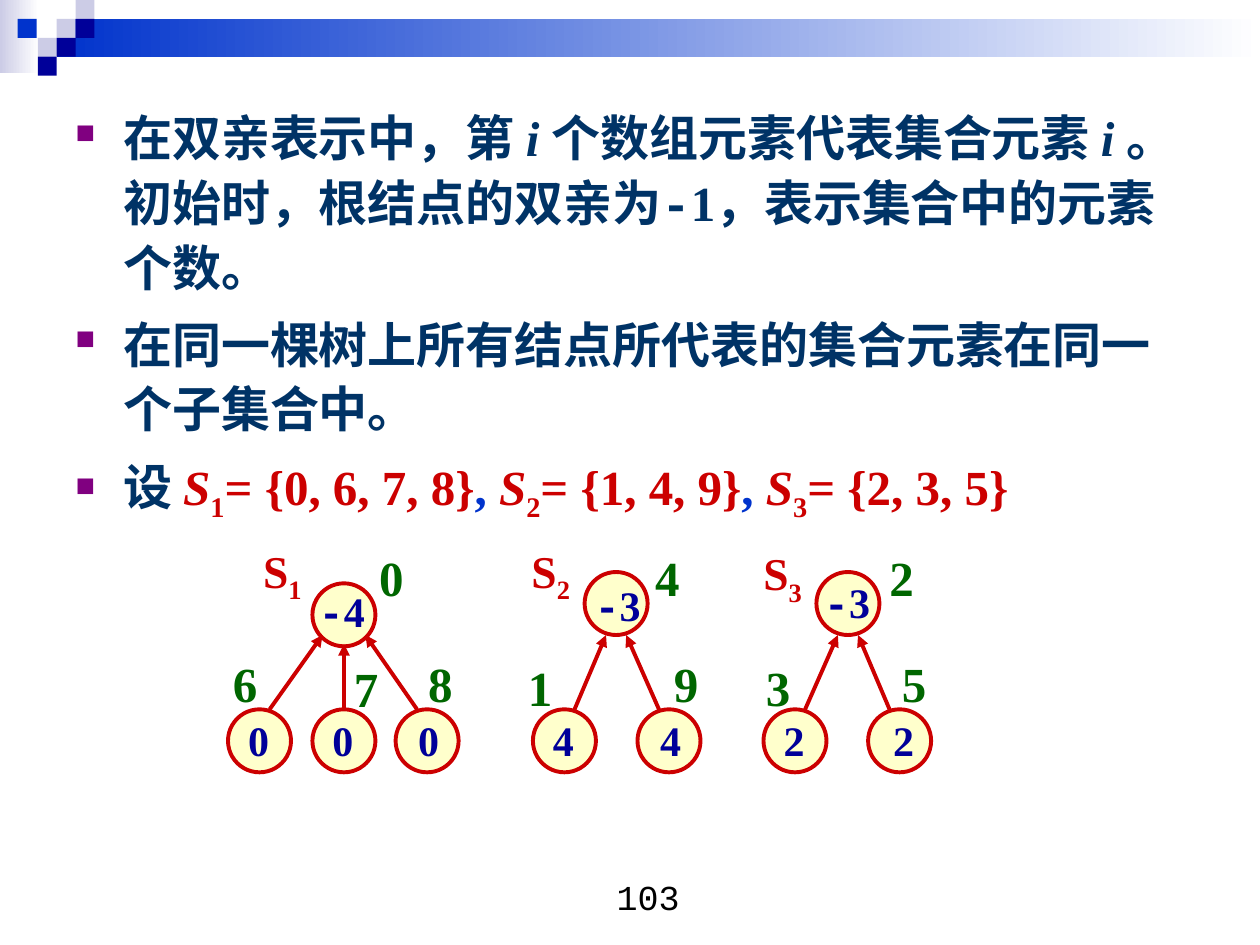
import pptx
import pptx.util
import pptx.dml.color
import pptx.enum.shapes
import pptx.enum.text
import pptx.oxml.ns
import lxml.etree

Inches = pptx.util.Inches
Pt = pptx.util.Pt
qn = pptx.oxml.ns.qn
SHAPES = pptx.enum.shapes.MSO_SHAPE

COLORS = {
    "pale": "CCCCE6", "blue": "0033CC", "navy": "000099", "white": "FFFFFF",
    "body": "003366", "bullet": "800080", "red": "CC0000", "green": "006600",
    "cream": "FFFFCC", "black": "000000",
}
SERIF = "Times New Roman"
MONO = "Courier New"

BANDS = [(0, 0, 0.31, 0.58, "pale"), (0.45, 0.15, 9.55, 0.3, "blue")]
TILE = 0.15
TILES = [
    (0.45, 0.15, "pale"), (0.6, 0, "pale"), (0.6, 0.15, "navy"),
    (0.3, 0.3, "pale"), (0.14, 0.15, "blue"), (0.45, 0.3, "navy"),
    (0.3, 0.45, "navy"),
]

SETS = [("1", "= {0, 6, 7, 8}"), ("2", "= {1, 4, 9}"), ("3", "= {2, 3, 5}")]
set_runs = [("设 ", {})]
for number, members in SETS:
    if number != "1":
        set_runs.append((", ", {"color": "blue"}))
    set_runs += [
        ("S", {"color": "red", "italic": True}),
        (number, {"color": "red", "sub": True}),
        (members, {"color": "red"}),
    ]
BODY = [
    [("在双亲表示中，第 ", {}), ("i ", {"italic": True}), ("个数组元素代表集合元素 ", {}),
     ("i ", {"italic": True}), ("。初始时，根结点的双亲为", {}), ("-", {"font": MONO}),
     ("1，表示集合中的元素个数。", {})],
    [("在同一棵树上所有结点所代表的集合元素在同一个子集合中。", {})],
    set_runs,
]

NODE = 0.5
LEAF_TOP = 5.63
VALUE_TOP = 5.62
TREES = [
    {"name": ("1", 1.99, 4.26), "root": (2.48, 4.63), "spread": 0.17,
     "value": ("4", 2.43, 4.6), "index": ("0", 2.91, 4.3),
     "leaves": [(1.81, -1, "0", 1.87, "6", 1.75, 5.14),
                (2.48, 0, "0", 2.54, "7", 2.71, 5.18),
                (3.14, 1, "0", 3.22, "8", 3.3, 5.14)]},
    {"name": ("2", 4.12, 4.26), "root": (4.64, 4.54), "spread": 0.08,
     "value": ("3", 4.62, 4.55), "index": ("4", 5.1, 4.3),
     "leaves": [(4.23, -1, "4", 4.29, "1", 4.09, 5.17),
                (5.06, 1, "4", 5.14, "9", 5.25, 5.14)]},
    {"name": ("3", 5.96, 4.28), "root": (6.48, 4.54), "spread": 0.08,
     "value": ("3", 6.44, 4.53), "index": ("2", 6.96, 4.3),
     "leaves": [(6.06, -1, "2", 6.12, "3", 5.98, 5.17),
                (6.89, 1, "2", 6.99, "5", 7.06, 5.14)]},
]


def rgb(name):
    return pptx.dml.color.RGBColor.from_string(COLORS[name])


def add_runs(para, runs, size, color, bold=True):
    for text, style in runs:
        span = para.add_run()
        span.text = text
        span.font.size = Pt(size)
        span.font.bold = bold
        span.font.italic = style.get("italic", False)
        span.font.name = style.get("font", SERIF)
        span.font.color.rgb = rgb(style.get("color", color))
        if style.get("sub"):
            span.font._element.set("baseline", "-25000")


def add_text(page, left, top, width, height, runs, size, color, bold=True):
    box = page.shapes.add_textbox(Inches(left), Inches(top), Inches(width), Inches(height))
    box.text_frame.word_wrap = True
    para = box.text_frame.paragraphs[0]
    add_runs(para, runs, size, color, bold)
    return box


def add_plain(page, kind, left, top, width, height):
    shape = page.shapes.add_shape(kind, Inches(left), Inches(top), Inches(width), Inches(height))
    shape.shadow.inherit = False
    shape.line.fill.background()
    return shape


def add_node(page, left, top):
    node = add_plain(page, SHAPES.OVAL, left, top, NODE, NODE)
    node.fill.solid()
    node.fill.fore_color.rgb = rgb("cream")
    node.line.color.rgb = rgb("red")
    node.line.width = Pt(2.25)


def add_arrow(page, start, end):
    arrow = page.shapes.add_connector(
        pptx.enum.shapes.MSO_CONNECTOR.STRAIGHT,
        Inches(start[0]), Inches(start[1]), Inches(end[0]), Inches(end[1]))
    arrow.line.color.rgb = rgb("red")
    arrow.line.width = Pt(2.25)
    line = arrow.line._get_or_add_ln()
    lxml.etree.SubElement(line, qn("a:tailEnd"), type="triangle")
    lxml.etree.SubElement(arrow._element.spPr, qn("a:effectLst"))


def add_header(page):
    for left, top, width, height, color in BANDS:
        band = add_plain(page, SHAPES.RECTANGLE, left, top, width, height)
        band.fill.gradient()
        band.fill.gradient_angle = 0
        for stop, position, name in zip(band.fill.gradient_stops, (0, 1), (color, "white")):
            stop.position = position
            stop.color.rgb = rgb(name)
    for left, top, color in TILES:
        tile = add_plain(page, SHAPES.RECTANGLE, left, top, TILE, TILE)
        tile.fill.solid()
        tile.fill.fore_color.rgb = rgb(color)


def add_body(page):
    box = page.shapes.add_textbox(Inches(0.5), Inches(0.76), Inches(9), Inches(3.51))
    frame = box.text_frame
    frame.word_wrap = True
    for number, runs in enumerate(BODY):
        para = frame.add_paragraph() if number else frame.paragraphs[0]
        para.line_spacing = 1.1
        if number:
            para.space_before = Pt(7)
        props = para._p.get_or_add_pPr()
        props.set("marL", str(Inches(0.38)))
        props.set("indent", str(Inches(-0.38)))
        tint = lxml.etree.SubElement(props, qn("a:buClr"))
        lxml.etree.SubElement(tint, qn("a:srgbClr"), val=COLORS["bullet"])
        lxml.etree.SubElement(props, qn("a:buSzPct"), val="55000")
        lxml.etree.SubElement(props, qn("a:buChar"), char="■")
        add_runs(para, runs, 28, "body")


def add_tree(page, tree):
    root_left, root_top = tree["root"]
    add_node(page, root_left, root_top)
    for left, side, value, value_left, index, index_left, index_top in tree["leaves"]:
        add_node(page, left, LEAF_TOP)
        start = (left + NODE / 2 - side * 0.08, LEAF_TOP)
        end = (root_left + NODE / 2 + side * tree["spread"], 5.04 if side else 5.11)
        add_arrow(page, start, end)
        add_text(page, index_left, index_top, 0.42, 0.57, [(index, {})], 28, "green")
        add_text(page, value_left, VALUE_TOP, 0.42, 0.5, [(value, {})], 24, "navy")
    index, left, top = tree["index"]
    add_text(page, left, top, 0.42, 0.57, [(index, {})], 28, "green")
    value, left, top = tree["value"]
    add_text(page, left, top, 0.61, 0.5, [("-", {"font": MONO}), (value, {})], 24, "navy")
    number, left, top = tree["name"]
    name = add_text(page, left, top, 0.54, 0.6, [("S", {}), (number, {"sub": True})], 26, "red")
    name.text_frame.margin_right = 0


def main():
    deck = pptx.Presentation()
    deck.slide_width = Inches(10)
    deck.slide_height = Inches(7.5)
    page = deck.slides.add_slide(deck.slide_layouts[6])
    add_header(page)
    add_body(page)
    for tree in TREES:
        add_tree(page, tree)
    number = add_text(page, 3.98, 6.9, 2.33, 0.52, [("103", {"font": MONO})], 20, "black", bold=False)
    number.text_frame.paragraphs[0].alignment = pptx.enum.text.PP_ALIGN.CENTER
    deck.save("out.pptx")


if __name__ == "__main__":
    main()
